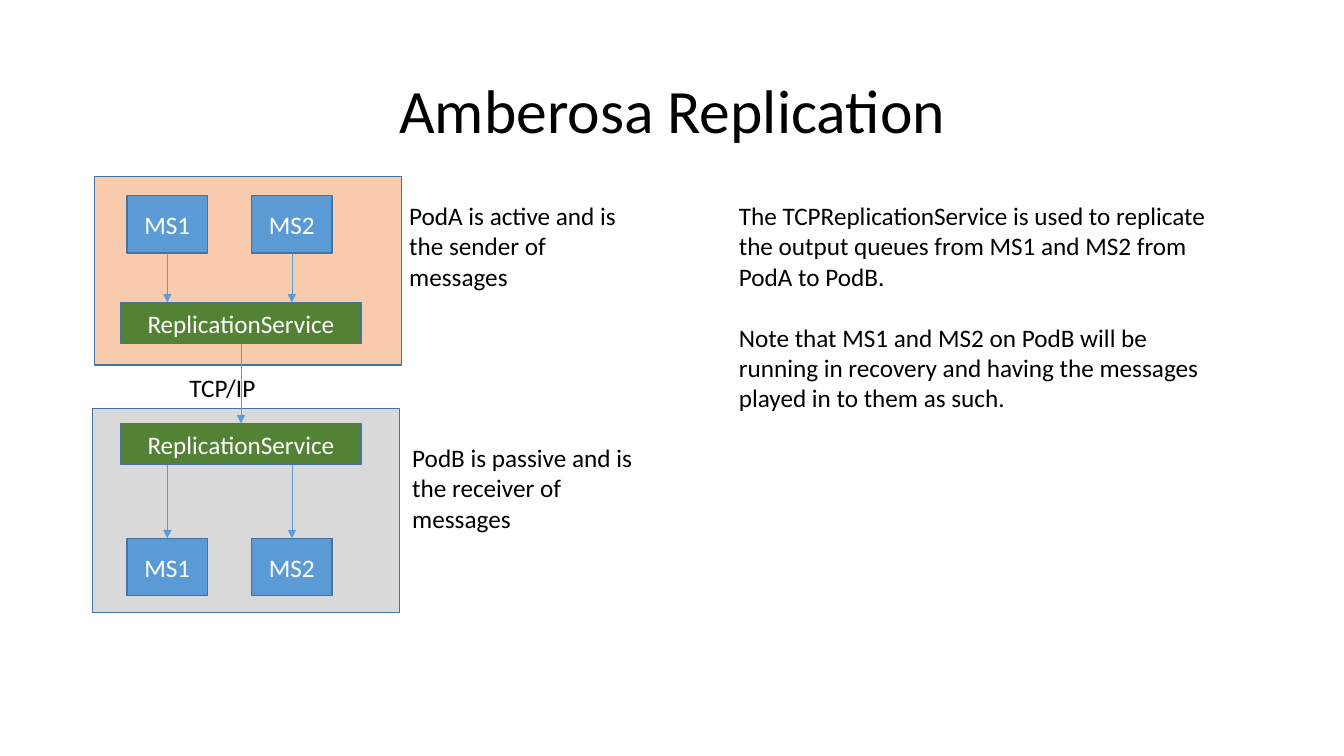
from dataclasses import dataclass

from lxml import etree
from pptx import Presentation
from pptx.dml.color import RGBColor
from pptx.enum.shapes import MSO_CONNECTOR, MSO_SHAPE
from pptx.enum.text import MSO_ANCHOR, PP_ALIGN
from pptx.oxml.ns import qn
from pptx.util import Inches, Pt

RECT = MSO_SHAPE.RECTANGLE
STRAIGHT = MSO_CONNECTOR.STRAIGHT
TOP, MIDDLE = MSO_ANCHOR.TOP, MSO_ANCHOR.MIDDLE
LEFT, CENTER = PP_ALIGN.LEFT, PP_ALIGN.CENTER


@dataclass(frozen=True)
class Theme:
    font: str = "Calibri"
    title: int = 44
    body: int = 18
    gap: int = 22
    ink: str = "000000"
    light: str = "FFFFFF"
    edge: str = "43739E"
    blue: str = "5B9BD5"
    green: str = "548235"
    peach: str = "F8CBAD"
    gray: str = "D9D9D9"


def rgb(code):
    return RGBColor.from_string(code)


def write(frame, text, font, size, color, align=LEFT, anchor=TOP, gap=0, lead=None):
    """Fill a text frame, one paragraph per line of text."""
    frame.word_wrap = True
    frame.vertical_anchor = anchor
    for i, line in enumerate(text.split("\n")):
        para = frame.add_paragraph() if i else frame.paragraphs[0]
        para.alignment = align
        if lead:
            para.line_spacing = lead
        if i:
            para.space_before = Pt(gap)
        run = para.add_run()
        run.text = line
        run.font.name = font
        run.font.size = Pt(size)
        run.font.color.rgb = rgb(color)


class Board:
    """Draws styled elements on one slide; lengths are in inches."""

    def __init__(self, slide, theme):
        self.shapes = slide.shapes
        self.theme = theme

    def box(self, x, y, w, h, fill, text=""):
        t = self.theme
        shape = self.shapes.add_shape(RECT, *map(Inches, (x, y, w, h)))
        shape.shadow.inherit = False
        shape.fill.solid()
        shape.fill.fore_color.rgb = rgb(fill)
        shape.line.color.rgb = rgb(t.edge)
        shape.line.width = Pt(1)
        if text:
            write(shape.text_frame, text, t.font, t.body, t.light,
                  align=CENTER, anchor=MIDDLE)

    def label(self, x, y, w, h, text, size=None, **form):
        t = self.theme
        area = self.shapes.add_textbox(*map(Inches, (x, y, w, h)))
        write(area.text_frame, text, t.font, size or t.body, t.ink, **form)

    def arrow(self, x, top, end):
        """Draw a downward arrow."""
        line = self.shapes.add_connector(
            STRAIGHT, *map(Inches, (x, top, x, end)))
        line.line.color.rgb = rgb(self.theme.blue)
        line.line.width = Pt(0.5)
        etree.SubElement(line.line._get_or_add_ln(), qn("a:tailEnd"), type="triangle")
        etree.SubElement(line._element.spPr, qn("a:effectLst"))

    def pod(self, frame, fill, hub, nodes, ends):
        """Draw a pod: its frame, service bar, nodes and arrows."""
        t = self.theme
        self.box(*frame, fill)
        self.box(1.2, hub, 2.38, 0.41, t.green, "ReplicationService")
        for i, name in enumerate(("MS1", "MS2")):
            x = 1.26 + 1.235 * i
            self.box(x, nodes, 0.8, 0.57, t.blue, name)
            self.arrow(x + 0.4, *ends)


def main():
    deck = Presentation()
    deck.slide_width, deck.slide_height = Inches(13.33), Inches(7.5)
    theme = Theme()
    board = Board(deck.slides.add_slide(deck.slide_layouts[6]), theme)

    board.label(0.92, 0.4, 11.5, 1.45, "Amberosa Replication", size=theme.title,
                align=CENTER, anchor=MIDDLE, lead=0.9)
    board.pod((0.92, 4.05, 3.04, 2.03), theme.gray, 4.2, 5.34, (4.61, 5.34))
    board.pod((0.94, 1.75, 3.04, 1.87), theme.peach, 3, 1.94, (2.51, 3))
    board.label(1.78, 3.64, 1.1, 0.4, "TCP/IP")
    board.arrow(2.39, 3.41, 4.2)

    board.label(3.96, 1.94, 2.55, 1.01, "PodA is active and is the sender of messages")
    board.label(3.99, 4.34, 2.55, 1.01,
                "PodB is passive and is the receiver of messages")
    board.label(7.23, 1.94, 4.96, 2.22,
                "The TCPReplicationService is used to replicate the output queues "
                "from MS1 and MS2 from PodA to PodB.\n"
                "Note that MS1 and MS2 on PodB will be running in recovery and "
                "having the messages played in to them as such.", gap=theme.gap)
    deck.save("out.pptx")


if __name__ == "__main__":
    main()
